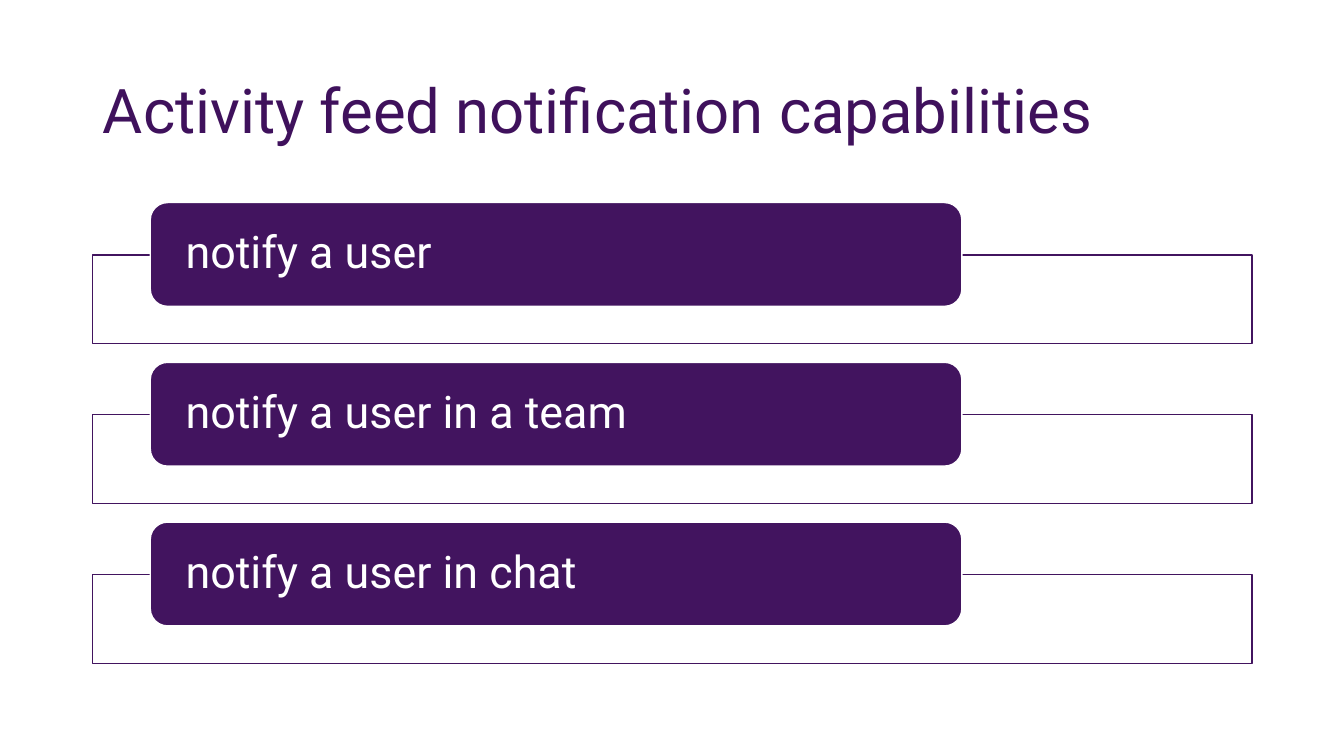
"""Build a slide that lists the activity feed notification capabilities."""
import pptx
import pptx.dml.color
import pptx.enum.shapes
import pptx.enum.text
import pptx.util

Inches = pptx.util.Inches
Shapes = pptx.enum.shapes.MSO_SHAPE
PURPLE = pptx.dml.color.RGBColor(0x42, 0x14, 0x5F)
TITLE_PURPLE = pptx.dml.color.RGBColor(0x3F, 0x11, 0x5C)
WHITE = pptx.dml.color.RGBColor(0xFF, 0xFF, 0xFF)
CAPABILITIES = ["notify a user", "notify a user in a team", "notify a user in chat"]
LEFT, WIDTH = 0.92, 11.5
FIRST_TOP, ROW_STEP = 2.01, 1.585


def write_text(frame, text, size, color):
    frame.text = text
    frame.word_wrap = True
    frame.vertical_anchor = pptx.enum.text.MSO_ANCHOR.MIDDLE
    para = frame.paragraphs[0]
    para.alignment = pptx.enum.text.PP_ALIGN.LEFT
    para.line_spacing = 0.9
    font = para.runs[0].font
    font.name = "Roboto"
    font.size = pptx.util.Pt(size)
    font.color.rgb = color


def add_title(slide, text):
    title = slide.shapes.title
    title.left, title.top = Inches(LEFT), Inches(0.4)
    title.width, title.height = Inches(WIDTH), Inches(1.45)
    write_text(title.text_frame, text, 44, TITLE_PURPLE)


def add_box(slide, kind, left, top, width, height, fill, line):
    box = slide.shapes.add_shape(
        kind, Inches(left), Inches(top), Inches(width), Inches(height))
    box.shadow.inherit = False
    box.fill.solid()
    box.fill.fore_color.rgb = fill
    box.line.color.rgb = line
    box.line.width = pptx.util.Pt(1)
    return box


def add_capability(slide, text, top):
    add_box(slide, Shapes.RECTANGLE, LEFT, top + 0.52, WIDTH, 0.88, WHITE, PURPLE)
    label = add_box(slide, Shapes.ROUNDED_RECTANGLE, 1.49, top, 8.05, 1.03, PURPLE, WHITE)
    frame = label.text_frame
    frame.margin_left = frame.margin_right = Inches(0.3)
    frame.margin_top = frame.margin_bottom = 0
    write_text(frame, text, 32, WHITE)


def main():
    deck = pptx.Presentation()
    deck.slide_width, deck.slide_height = Inches(13.33), Inches(7.5)
    slide = deck.slides.add_slide(deck.slide_layouts.get_by_name("Title Only"))
    add_title(slide, "Activity feed notification capabilities")
    for row, text in enumerate(CAPABILITIES):
        add_capability(slide, text, FIRST_TOP + row * ROW_STEP)
    deck.save("out.pptx")


if __name__ == "__main__":
    main()
